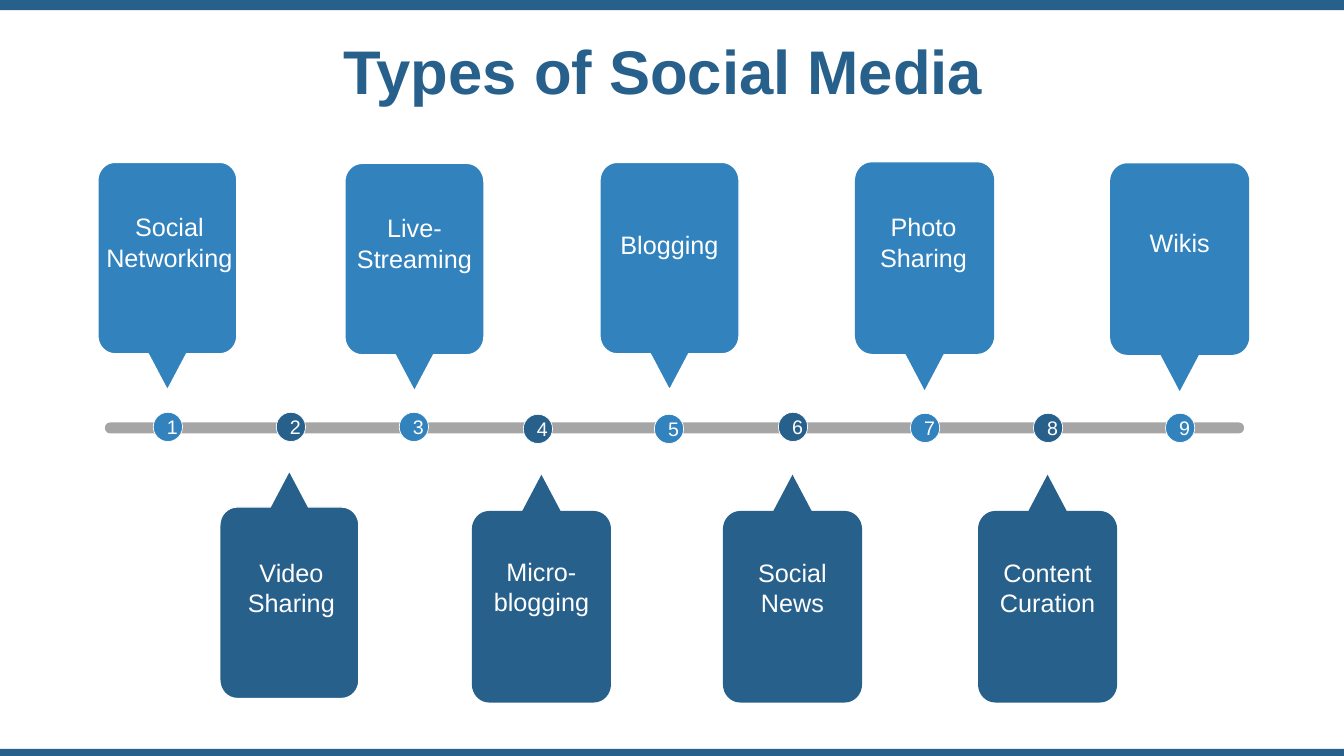
import lxml.etree
import pptx
import pptx.dml.color
import pptx.enum.shapes
import pptx.enum.text
import pptx.oxml.ns
import pptx.util

RGBColor = pptx.dml.color.RGBColor
DARK = RGBColor(0x28, 0x60, 0x8C)
LIGHT = RGBColor(0x32, 0x82, 0xBE)
GRAY = RGBColor(0x80, 0x80, 0x80)
WHITE = RGBColor(0xFF, 0xFF, 0xFF)
KIND = pptx.enum.shapes.MSO_SHAPE
ANCHOR = pptx.enum.text.MSO_ANCHOR
ALIGN = pptx.enum.text.PP_ALIGN

SCALE = 9144
WIDE, HIGH = 1333, 750
CARD_W, CARD_H = 138, 226
DOT = 29

TYPES = [
    ("Social Networking", 97, 161, 2, 205, 156, 2, 152, 409, True),
    ("Video Sharing", 218, 467, 2, 548, 138, 2, 274, 409, True),
    ("Live-Streaming", 342, 162, 0, 206, 171, 2, 396, 409, True),
    ("Micro-blogging", 468, 471, 0, 547, 143, 2, 519, 411, False),
    ("Blogging", 595, 161, 0, 223, 118, 1, 649, 411, True),
    ("Social News", 717, 471, 0, 548, 94, 2, 772, 409, False),
    ("Photo Sharing", 848, 161, -1, 205, 125, 2, 903, 410, False),
    ("Content Curation", 970, 471, 0, 548, 138, 2, 1025, 410, False),
    ("Wikis", 1101, 162, 0, 221, 81, 1, 1156, 410, False),
]


def px(n):
    return pptx.util.Emu(round(n * SCALE))


def write(shape, text, size=18, color=WHITE, bold=False, wrap=True,
          anchor=ANCHOR.TOP, pad=(10, 5, 10, 5), space=1.0):
    frame = shape.text_frame
    frame.word_wrap = wrap
    frame.auto_size = pptx.enum.text.MSO_AUTO_SIZE.NONE
    frame.vertical_anchor = anchor
    frame.margin_left, frame.margin_top, frame.margin_right, frame.margin_bottom = map(px, pad)
    para = frame.paragraphs[0]
    para.alignment = ALIGN.CENTER
    para.line_spacing = space
    run = para.add_run()
    run.text = text
    run.font.name = "Arial"
    run.font.size = pptx.util.Pt(size)
    run.font.bold = bold
    run.font.color.rgb = color


def paint(shape, color, edge=0):
    shape.shadow.inherit = False
    shape.fill.solid()
    shape.fill.fore_color.rgb = color
    if edge:
        shape.line.color.rgb = WHITE
        shape.line.width = pptx.util.Pt(edge)
    else:
        shape.line.fill.background()


def block(slide, kind, box, color, edge=0):
    shape = slide.shapes.add_shape(kind, *map(px, box))
    paint(shape, color, edge)
    return shape


def frame(slide):
    block(slide, KIND.RECTANGLE, (0, 0, WIDE, 10), DARK)
    block(slide, KIND.RECTANGLE, (0, 743, WIDE, 7), DARK)


def head(slide, box, text):
    title = slide.shapes.title
    title.left, title.top, title.width, title.height = map(px, box)
    write(title, text, size=44, color=DARK, bold=True, space=0.9)


def track(slide, box):
    bar = block(slide, KIND.ROUNDED_RECTANGLE, box, GRAY)
    bar.adjustments[0] = 0.5
    tint = bar.element.find(".//" + pptx.oxml.ns.qn("a:srgbClr"))
    lxml.etree.SubElement(tint, pptx.oxml.ns.qn("a:alpha"), val="70000")


def bend(lines):
    curve = lxml.etree.Element(pptx.oxml.ns.qn("a:cubicBezTo"))
    lines[0].addprevious(curve)
    for line in lines:
        curve.append(line[0])
        line.getparent().remove(line)


def card(slide, box, color, down, edge):
    left, top, wide, high = box
    tip, half, rx, ry = 36, 19, 17, 18
    mid = wide / 2
    points = [(mid, 0), (mid + half, tip)]
    corners = [
        (wide, tip, -rx, 0, 0, ry),
        (wide, high, 0, -ry, -rx, 0),
        (0, high, rx, 0, 0, -ry),
        (0, tip, 0, ry, rx, 0),
    ]
    for x, y, in_x, in_y, out_x, out_y in corners:
        for a, b in ((1, 0), (0.45, 0), (0, 0.45), (0, 1)):
            points.append((x + a * in_x + b * out_x, y + a * in_y + b * out_y))
    points.append((mid - half, tip))
    spots = [(px(left + x), px(top + y)) for x, y in points]
    form = slide.shapes.build_freeform(*spots[0], scale=1.0)
    form.add_line_segments(spots[1:], close=True)
    shape = form.convert_to_shape()
    lines = list(shape.element.iter(pptx.oxml.ns.qn("a:lnTo")))
    for i in range(len(corners)):
        bend(lines[4 * i + 2:4 * i + 5])
    if down:
        shape.rotation = 180
    paint(shape, color, edge)


def label(slide, box, text, wrap):
    write(slide.shapes.add_textbox(*map(px, box)), text, wrap=wrap)


def dot(slide, box, text, color):
    shape = block(slide, KIND.OVAL, box, color, 0.5)
    write(shape, text, size=14, wrap=False, anchor=ANCHOR.MIDDLE, pad=(9, 0, 0, 0))


def main():
    deck = pptx.Presentation()
    deck.slide_width, deck.slide_height = px(WIDE), px(HIGH)
    slide = deck.slides.add_slide(deck.slide_layouts[5])
    frame(slide)
    head(slide, (0, 36, WIDE, 89), "Types of Social Media ")
    track(slide, (104, 419, 1130, 11))
    for i, (text, x, y, shift, line, wide, rows, dot_x, dot_y, edged) in enumerate(TYPES):
        down = i % 2 == 0
        color = LIGHT if down else DARK
        card(slide, (x, y, CARD_W, CARD_H), color, down, 1 if edged else 0)
        left = x + (CARD_W - wide) / 2 + shift
        label(slide, (left, line, wide, 40 if rows == 1 else 71), text, rows > 1)
        dot(slide, (dot_x, dot_y, DOT, DOT), str(i + 1), color)
    deck.save("out.pptx")


if __name__ == "__main__":
    main()
